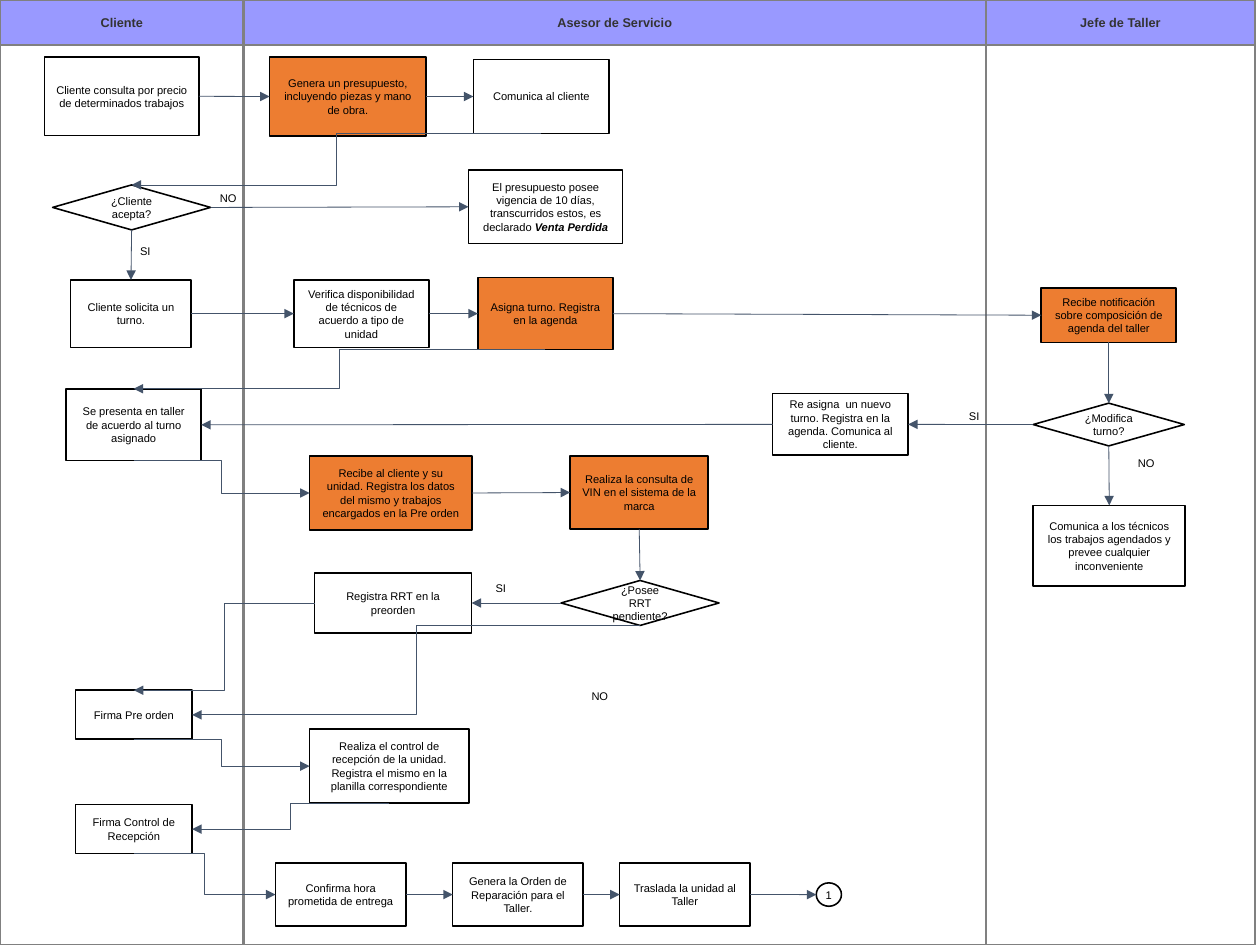
from dataclasses import dataclass

from lxml import etree
from pptx import Presentation
from pptx import util as u
from pptx.dml.color import RGBColor
from pptx.enum import shapes, text
from pptx.oxml.ns import qn


@dataclass(frozen=True)
class Theme:
    font: str = "Arial"
    body_size: float = 7
    header_size: float = 8
    ink: str = "000000"
    header_ink: str = "333333"
    header_fill: str = "9999FF"
    lane_line: str = "808080"
    plain: str = "FFFFFF"
    system: str = "ED7D31"
    arrow: str = "44546A"
    lane_width: float = 1.7
    step_width: float = 1
    arrow_width: float = 0.5


THEME = Theme()
TOP, LEFT, BOTTOM, RIGHT = range(4)
RECT = shapes.MSO_SHAPE.RECTANGLE
DIAMOND = shapes.MSO_SHAPE.DIAMOND
PAGE_HEIGHT, HEADER_HEIGHT = 21, 1
LANES = [("Cliente", 0, 5.42), ("Asesor de Servicio", 5.42, 16.49), ("Jefe de Taller", 21.91, 5.98)]

# key: (text, left, top, width, height) in cm
PLAIN_STEPS = {
    "consulta": ("Cliente consulta por precio de determinados trabajos", 0.99, 1.27, 3.43, 1.74),
    "comunica": ("Comunica al cliente", 10.52, 1.32, 3.02, 1.65),
    "vigencia": ("El presupuesto posee vigencia de 10 días, transcurridos estos, es declarado ",
                 10.41, 3.78, 3.43, 1.63),
    "solicita": ("Cliente solicita un turno.", 1.57, 6.22, 2.68, 1.5),
    "verifica": ("Verifica disponibilidad de técnicos de acuerdo a tipo de unidad", 6.53, 6.22, 3, 1.5),
    "presenta": ("Se presenta en taller de acuerdo al turno asignado", 1.47, 8.64, 3, 1.6),
    "reasigna": ("Re asigna  un nuevo turno. Registra en la agenda. Comunica al cliente.",
                 17.17, 8.75, 3.01, 1.36),
    "tecnicos": ("Comunica a los técnicos los trabajos agendados y prevee cualquier inconveniente",
                 22.96, 11.23, 3.38, 1.8),
    "registra": ("Registra RRT en la preorden", 6.99, 12.73, 3.49, 1.34),
    "preorden": ("Firma Pre orden", 1.68, 15.34, 2.59, 1.09),
    "control": ("Realiza el control de recepción de la unidad. Registra el mismo en la planilla "
                "correspondiente", 6.88, 16.2, 3.54, 1.65),
    "firma": ("Firma Control de Recepción", 1.68, 17.88, 2.59, 1.09),
    "confirma": ("Confirma hora prometida de entrega", 6.12, 19.18, 2.9, 1.4),
    "orden": ("Genera la Orden de Reparación para el Taller.", 10.06, 19.18, 2.9, 1.4),
    "traslada": ("Traslada la unidad al Taller", 13.77, 19.18, 2.9, 1.4),
}
SYSTEM_STEPS = {
    "presupuesto": ("Genera un presupuesto, incluyendo piezas y mano de obra.", 5.99, 1.27, 3.48, 1.75),
    "asigna": ("Asigna turno. Registra en la agenda", 10.62, 6.17, 3, 1.6),
    "notifica": ("Recibe notificación sobre composición de agenda del taller", 23.14, 6.4, 3, 1.21),
    "recibe": ("Recibe al cliente y su unidad. Registra los datos del mismo y trabajos encargados "
               "en la Pre orden", 6.88, 10.13, 3.61, 1.65),
    "vin": ("Realiza la consulta de VIN en el sistema de la marca", 12.67, 10.13, 3.07, 1.63),
}
DECISIONS = {
    "acepta": ("¿Cliente acepta?", 1.17, 4.11, 3.51, 1),
    "modifica": ("¿Modifica turno?", 22.96, 8.96, 3.36, 0.95),
    "rrt": ("¿Posee RRT pendiente?", 12.47, 12.9, 3.51, 1),
}
ANSWERS = [("NO", 4.62, 4.14), ("SI", 2.78, 5.31), ("SI", 21.2, 8.97), ("NO", 25.02, 10.01),
           ("SI", 10.68, 12.8), ("NO", 12.88, 15.19)]
STRAIGHT_FLOWS = [
    ("consulta", RIGHT, "presupuesto", LEFT),
    ("presupuesto", RIGHT, "comunica", LEFT),
    ("acepta", RIGHT, "vigencia", LEFT),
    ("acepta", BOTTOM, "solicita", TOP),
    ("solicita", RIGHT, "verifica", LEFT),
    ("verifica", RIGHT, "asigna", LEFT),
    ("asigna", RIGHT, "notifica", LEFT),
    ("notifica", BOTTOM, "modifica", TOP),
    ("modifica", LEFT, "reasigna", RIGHT),
    ("modifica", BOTTOM, "tecnicos", TOP),
    ("reasigna", LEFT, "presenta", RIGHT),
    ("recibe", RIGHT, "vin", LEFT),
    ("vin", BOTTOM, "rrt", TOP),
    ("rrt", LEFT, "registra", RIGHT),
    ("confirma", RIGHT, "orden", LEFT),
    ("orden", RIGHT, "traslada", LEFT),
]
BENT_FLOWS = [
    ("comunica", BOTTOM, "acepta", TOP),
    ("asigna", BOTTOM, "presenta", TOP),
    ("presenta", BOTTOM, "recibe", LEFT),
    ("registra", LEFT, "preorden", TOP),
    ("rrt", BOTTOM, "preorden", RIGHT),
    ("preorden", BOTTOM, "control", LEFT),
    ("control", BOTTOM, "firma", RIGHT),
    ("firma", BOTTOM, "confirma", LEFT),
]


def rgb(value):
    return RGBColor.from_string(value)


def style_text(frame, size, color, bold=False):
    paragraph = frame.paragraphs[0]
    paragraph.alignment = text.PP_ALIGN.CENTER
    for run in paragraph.runs:
        run.font.name = THEME.font
        run.font.size = u.Pt(size)
        run.font.bold = bold
        run.font.color.rgb = rgb(color)


def add_block(slide, kind, bounds, fill, line, width):
    """Outlined shape; fill None leaves it open."""
    block = slide.shapes.add_shape(kind, *map(u.Cm, bounds))
    block.shadow.inherit = False
    if fill:
        block.fill.solid()
        block.fill.fore_color.rgb = rgb(fill)
    else:
        block.fill.background()
    block.line.color.rgb = rgb(line)
    block.line.width = u.Pt(width)
    block.text_frame.word_wrap = True
    block.text_frame.vertical_anchor = text.MSO_ANCHOR.MIDDLE
    return block


def add_lane(slide, title, left, width):
    add_block(slide, RECT, (left, 0, width, PAGE_HEIGHT), None, THEME.lane_line, THEME.lane_width)
    header = add_block(slide, RECT, (left, 0, width, HEADER_HEIGHT),
                       THEME.header_fill, THEME.lane_line, THEME.lane_width)
    header.text_frame.text = title
    style_text(header.text_frame, THEME.header_size, THEME.header_ink, bold=True)


def add_step(slide, kind, fill, wording, *bounds):
    step = add_block(slide, kind, bounds, fill, THEME.ink, THEME.step_width)
    step.text_frame.text = wording
    style_text(step.text_frame, THEME.body_size, THEME.ink)
    return step


def add_answer(slide, wording, left, top):
    answer = slide.shapes.add_textbox(u.Cm(left), u.Cm(top), u.Cm(0.9), u.Cm(0.6))
    answer.text_frame.word_wrap = False
    answer.text_frame.text = wording
    style_text(answer.text_frame, THEME.body_size, THEME.ink)


def side_middle(step, side):
    across = {LEFT: 0, RIGHT: step.width}.get(side, step.width // 2)
    down = {TOP: 0, BOTTOM: step.height}.get(side, step.height // 2)
    return step.left + across, step.top + down


def add_flow(slide, kind, start, start_side, end, end_side):
    flow = slide.shapes.add_connector(kind, *side_middle(start, start_side), *side_middle(end, end_side))
    flow.line.color.rgb = rgb(THEME.arrow)
    flow.line.width = u.Pt(THEME.arrow_width)
    etree.SubElement(flow.line._get_or_add_ln(), qn("a:tailEnd"), type="triangle")
    etree.SubElement(flow._element.spPr, qn("a:effectLst"))
    return flow


def main():
    deck = Presentation()
    deck.slide_width, deck.slide_height = u.Cm(28), u.Cm(PAGE_HEIGHT)
    slide = deck.slides.add_slide(deck.slide_layouts[6])

    for lane in LANES:
        add_lane(slide, *lane)

    steps = {}
    for group, kind, fill in ((PLAIN_STEPS, RECT, THEME.plain), (SYSTEM_STEPS, RECT, THEME.system),
                              (DECISIONS, DIAMOND, THEME.plain)):
        for key, step in group.items():
            steps[key] = add_step(slide, kind, fill, *step)

    expiry = steps["vigencia"].text_frame
    lost_sale = expiry.paragraphs[0].add_run()
    lost_sale.text = "Venta Perdida"
    style_text(expiry, THEME.body_size, THEME.ink)
    lost_sale.font.bold = lost_sale.font.italic = True

    next_page = add_step(slide, shapes.MSO_SHAPE.OVAL, THEME.plain, "1", 18.14, 19.62, 0.56, 0.52)
    frame = next_page.text_frame
    frame.margin_left = frame.margin_right = frame.margin_top = frame.margin_bottom = 0

    for start, start_side, end, end_side in STRAIGHT_FLOWS:
        flow = add_flow(slide, shapes.MSO_CONNECTOR.STRAIGHT, steps[start], start_side, steps[end], end_side)
        flow.begin_connect(steps[start], start_side)
        flow.end_connect(steps[end], end_side)
    for start, start_side, end, end_side in BENT_FLOWS:
        add_flow(slide, shapes.MSO_CONNECTOR.ELBOW, steps[start], start_side, steps[end], end_side)
    to_next = add_flow(slide, shapes.MSO_CONNECTOR.STRAIGHT, steps["traslada"], RIGHT, next_page, LEFT)
    to_next.begin_connect(steps["traslada"], RIGHT)

    for answer in ANSWERS:
        add_answer(slide, *answer)
    deck.save("out.pptx")


if __name__ == "__main__":
    main()
